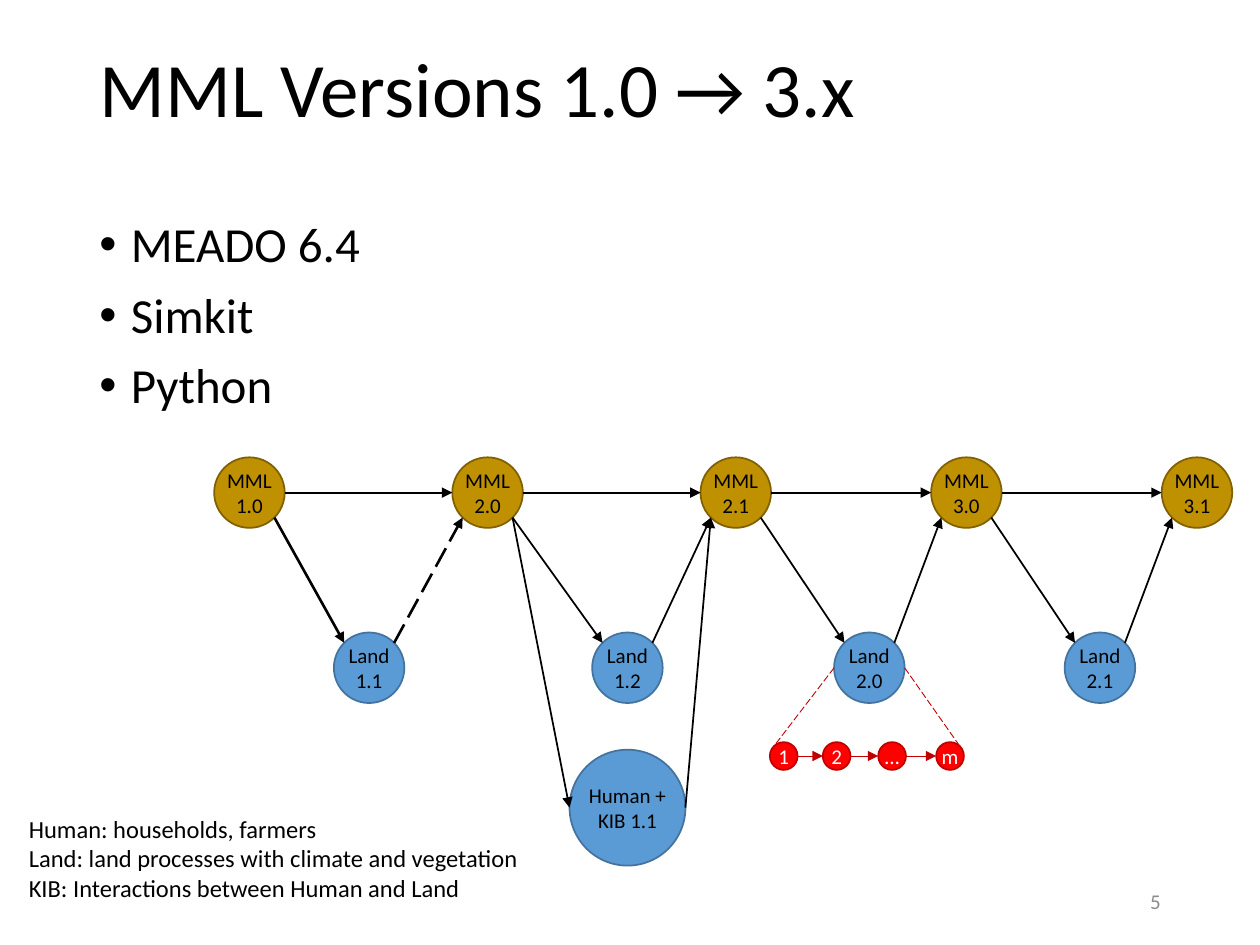
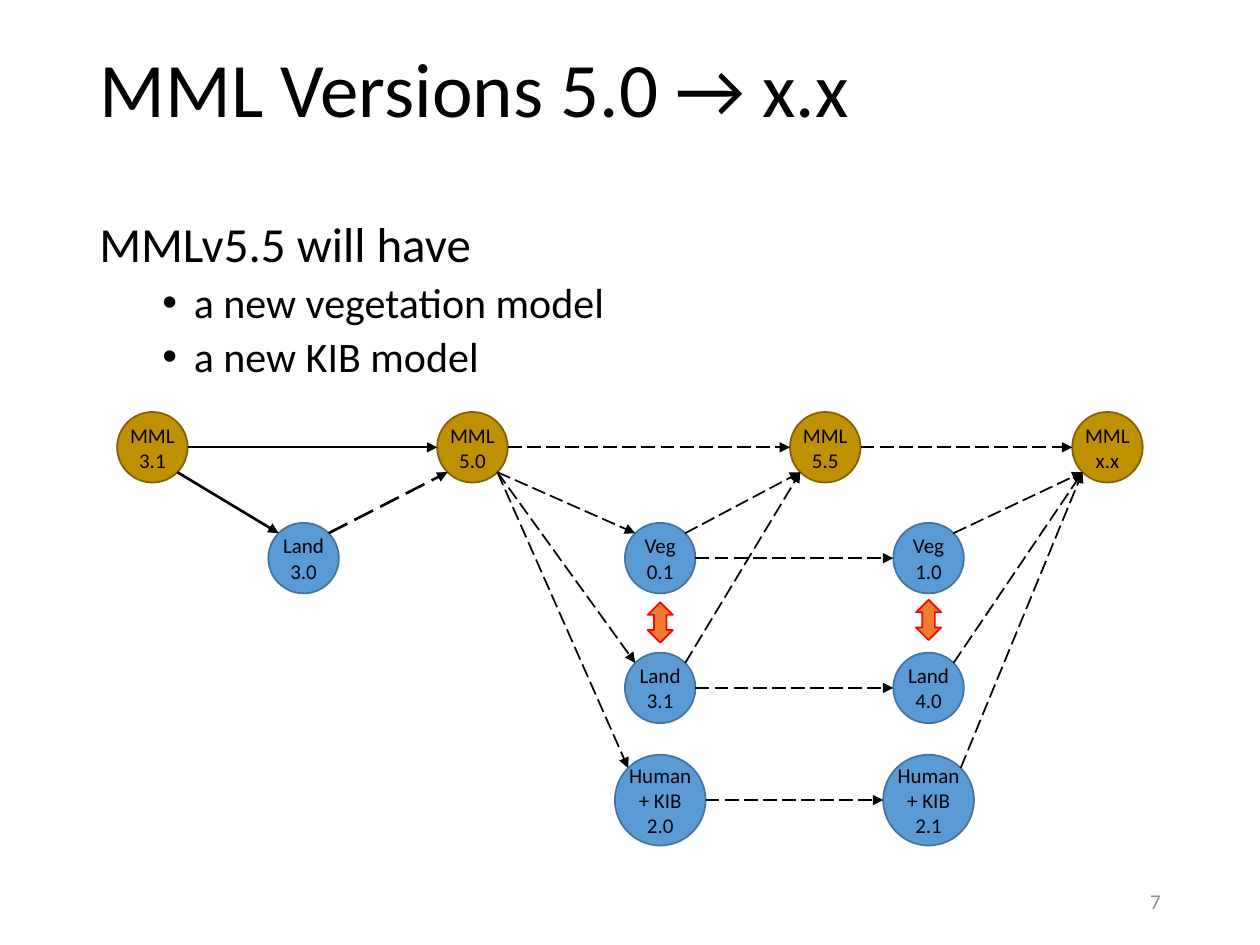
from math import sqrt
from lxml.etree import SubElement as Sub
from pptx import Presentation
from pptx.dml.color import RGBColor as Rgb
from pptx.enum.dml import MSO_LINE as Dash
from pptx.enum.shapes import MSO_CONNECTOR as Conn, MSO_SHAPE as Kind
from pptx.enum.text import MSO_ANCHOR as Anchor, PP_ALIGN as Align
from pptx.oxml.ns import qn
from pptx.util import Inches, Pt

FONT = "Calibri"
HUES = {
    "ink": "000000", "paper": "FFFFFF", "page": "8C8C8C",
    "gold": "BF9000", "bronze": "806000",
    "blue": "5B9BD5", "navy": "43739E",
    "red": "FF0000", "wine": "C00000", "orange": "ED7D31",
}
# Node looks: fill, outline, text
LOOKS = {
    "model": ("gold", "bronze", "ink"),
    "part": ("blue", "navy", "ink"),
    "step": ("red", "wine", "paper"),
}
# Link looks: colour, width, dash, arrowhead
LINKS = {
    "solid": ("ink", 1, None, True),
    "bold": ("ink", 1.5, None, True),
    "plan": ("ink", 1, Dash.LONG_DASH, True),
    "boldplan": ("ink", 1.5, Dash.LONG_DASH, True),
    "step": ("wine", 0.5, None, True),
    "zoom": ("wine", 0.5, Dash.LONG_DASH, False),
}
# Points on a circle, as shares of its radius
DIAG = sqrt(0.5)
SPOTS = {
    "e": (1, 0), "w": (-1, 0),
    "ne": (DIAG, -DIAG), "nw": (-DIAG, -DIAG),
    "se": (DIAG, DIAG), "sw": (-DIAG, DIAG),
}
NODE = 0.56   # diameter of a version circle
STEP = 0.22   # diameter of a step circle


def hue(name):
    return Rgb.from_string(HUES[name])


def put(thing, vals):
    for name, val in vals.items():
        setattr(thing, name, val)


def write(par, text, size, color="ink"):
    par.text = text
    put(par.font, {"name": FONT, "size": Pt(size)})
    par.font.color.rgb = hue(color)


def box(slide, spot, rows, size, color="ink", wrap=True, anchor=Anchor.TOP, **fmt):
    """Text box with one paragraph per row; returns the paragraphs."""
    frame = slide.shapes.add_textbox(*map(Inches, spot)).text_frame
    put(frame, {"word_wrap": wrap, "vertical_anchor": anchor})
    pars = [frame.paragraphs[0]] + [frame.add_paragraph() for _ in rows[1:]]
    for par, row in zip(pars, rows):
        write(par, row, size, color)
        put(par, fmt)
    return pars


def bullet(par, left):
    props = par._p.get_or_add_pPr()
    props.set("marL", str(Inches(left)))
    props.set("indent", str(Inches(-0.25)))
    Sub(props, qn("a:buFont"), typeface="Arial")
    Sub(props, qn("a:buChar"), char="•")


def paint(shape, fill, line):
    shape.shadow.inherit = False
    shape.fill.solid()
    shape.fill.fore_color.rgb = hue(fill)
    shape.line.color.rgb = hue(line)
    shape.line.width = Pt(1)


def node(slide, look, text, left, top, size=NODE):
    """Circle with a label; returns its centre and radius in inches."""
    fill, line, color = LOOKS[look]
    shape = slide.shapes.add_shape(Kind.OVAL, *map(Inches, (left, top, size, size)))
    paint(shape, fill, line)
    frame = shape.text_frame
    put(frame, {"margin_left": 0, "margin_right": 0, "word_wrap": True,
                "margin_top": Inches(0.05), "margin_bottom": Inches(0.05),
                "vertical_anchor": Anchor.MIDDLE})
    write(frame.paragraphs[0], text, 12, color)
    frame.paragraphs[0].alignment = Align.CENTER
    return left + size / 2, top + size / 2, size / 2


def point(ring, spot):
    x, y, rad = ring
    dx, dy = SPOTS[spot]
    return Inches(x + dx * rad), Inches(y + dy * rad)


def link(slide, look, start, out, end, into):
    """Line from a spot on one circle to a spot on another."""
    color, width, dash, arrow = LINKS[look]
    wire = slide.shapes.add_connector(
        Conn.STRAIGHT, *point(start, out), *point(end, into))
    wire.line.color.rgb = hue(color)
    put(wire.line, {"width": Pt(width), "dash_style": dash})
    if arrow:
        Sub(wire.line._get_or_add_ln(), qn("a:tailEnd"), type="triangle")
    Sub(wire._element.spPr, qn("a:effectLst"))


def graph(slide, nodes, links):
    rings = {key: node(slide, *args) for key, args in nodes.items()}
    for look, start, out, end, into in links:
        link(slide, look, rings[start], out, rings[end], into)


def swap(slide, left, top):
    shape = slide.shapes.add_shape(
        Kind.UP_DOWN_ARROW, *map(Inches, (left, top, 0.2, 0.32)))
    paint(shape, "orange", "red")


def start(deck, title, page, rows):
    """Slide with the shared title, body rows and page number."""
    slide = deck.slides.add_slide(deck.slide_layouts[6])
    box(slide, (0.69, 0.01, 8.62, 1.45), [title], 44,
        anchor=Anchor.MIDDLE, line_spacing=0.9)
    pars = box(slide, (0.69, 1.7, 8.62, 2.57), rows, 28,
               line_spacing=0.9, space_before=Pt(10))
    box(slide, (7.06, 6.95, 2.25, 0.4), [page], 12, "page",
        anchor=Anchor.MIDDLE, alignment=Align.RIGHT)
    return slide, pars


def early(deck):
    slide, pars = start(deck, "MML Versions 1.0 → 3.x", "5",
                        ["MEADO 6.4", "Simkit", "Python"])
    for par in pars:
        bullet(par, 0.25)

    # Versions above, parts below
    high, low, row = 3.63, 5.02, 5.89
    nodes = {
        "m10": ("model", "MML 1.0", 1.7, high),
        "m20": ("model", "MML 2.0", 3.59, high),
        "m21": ("model", "MML 2.1", 5.56, high),
        "m30": ("model", "MML 3.0", 7.39, high),
        "m31": ("model", "MML 3.1", 9.22, high),
        "l11": ("part", "Land 1.1", 2.65, low),
        "l12": ("part", "Land 1.2", 4.7, low),
        "l20": ("part", "Land 2.0", 6.62, low),
        "l21": ("part", "Land 2.1", 8.45, low),
        "kib": ("part", "Human + KIB 1.1", 4.52, 5.95, 0.92),
        "s1": ("step", "1", 6.11, row, STEP),
        "s2": ("step", "2", 6.53, row, STEP),
        "s3": ("step", "…", 6.97, row, STEP),
        "sm": ("step", "m", 7.43, row, STEP),
    }
    main = ["m10", "m20", "m21", "m30", "m31"]
    steps = ["s1", "s2", "s3", "sm"]
    links = [("solid", a, "e", b, "w") for a, b in zip(main, main[1:])]
    links += [("step", a, "e", b, "w") for a, b in zip(steps, steps[1:])]
    lands = zip(main, ["l11", "l12", "l20", "l21"], main[1:])
    for old, land, new in lands:
        first = land == "l11"
        links += [("bold" if first else "solid", old, "se", land, "nw"),
                  ("boldplan" if first else "solid", land, "ne", new, "sw")]
    links += [
        ("solid", "m20", "se", "kib", "w"),
        ("solid", "kib", "e", "m21", "sw"),
        ("zoom", "l20", "w", "s1", "nw"),
        ("zoom", "l20", "e", "sm", "ne"),
    ]
    graph(slide, nodes, links)

    # Key to the terms
    box(slide, (0.13, 6.41, 4.12, 0.81), [
        "Human: households, farmers",
        "Land: land processes with climate and vegetation",
        "KIB: Interactions between Human and Land"], 14, wrap=False)


def later(deck):
    slide, pars = start(deck, "MML Versions 5.0 → x.x", "7", [
        "MMLv5.5 will have", "a new vegetation model", "a new KIB model"])
    for par in pars[1:]:
        put(par, {"level": 1, "space_before": Pt(5)})
        par.font.size = Pt(24)
        bullet(par, 0.75)

    # Versions above, three rows of parts below
    high, veg, land, kib = 3.27, 4.15, 5.18, 5.99
    near, far, wide = 4.96, 7.09, 0.72
    inset = (wide - NODE) / 2
    nodes = {
        "m31": ("model", "MML 3.1", 0.93, high),
        "m50": ("model", "MML 5.0", 3.47, high),
        "m55": ("model", "MML 5.5", 6.27, high),
        "mxx": ("model", "MML x.x", 8.51, high),
        "l30": ("part", "Land 3.0", 2.13, veg),
        "v01": ("part", "Veg 0.1", near, veg),
        "v10": ("part", "Veg 1.0", far, veg),
        "l31": ("part", "Land\v3.1", near, land),
        "l40": ("part", "Land 4.0", far, land),
        "k20": ("part", "Human\v+ KIB 2.0", near - inset, kib, wide),
        "k21": ("part", "Human + KIB 2.1", far - inset, kib, wide),
    }
    links = [
        ("solid", "m31", "e", "m50", "w"),
        ("bold", "m31", "se", "l30", "nw"),
        ("boldplan", "l30", "ne", "m50", "sw"),
        ("plan", "m50", "e", "m55", "w"),
        ("plan", "m55", "e", "mxx", "w"),
        ("plan", "v01", "ne", "m55", "sw"),
        ("plan", "l31", "ne", "m55", "sw"),
    ]
    for old, new in (("v01", "v10"), ("l31", "l40"), ("k20", "k21")):
        links += [("plan", "m50", "se", old, "nw"),
                  ("plan", old, "e", new, "w"),
                  ("plan", new, "ne", "mxx", "sw")]
    graph(slide, nodes, links)

    # Exchange between vegetation and land
    swap(slide, 5.14, 4.78)
    swap(slide, 7.27, 4.76)


def main():
    deck = Presentation()
    put(deck, {"slide_width": Inches(10), "slide_height": Inches(7.5)})
    early(deck)
    later(deck)
    deck.save("out.pptx")


main()
